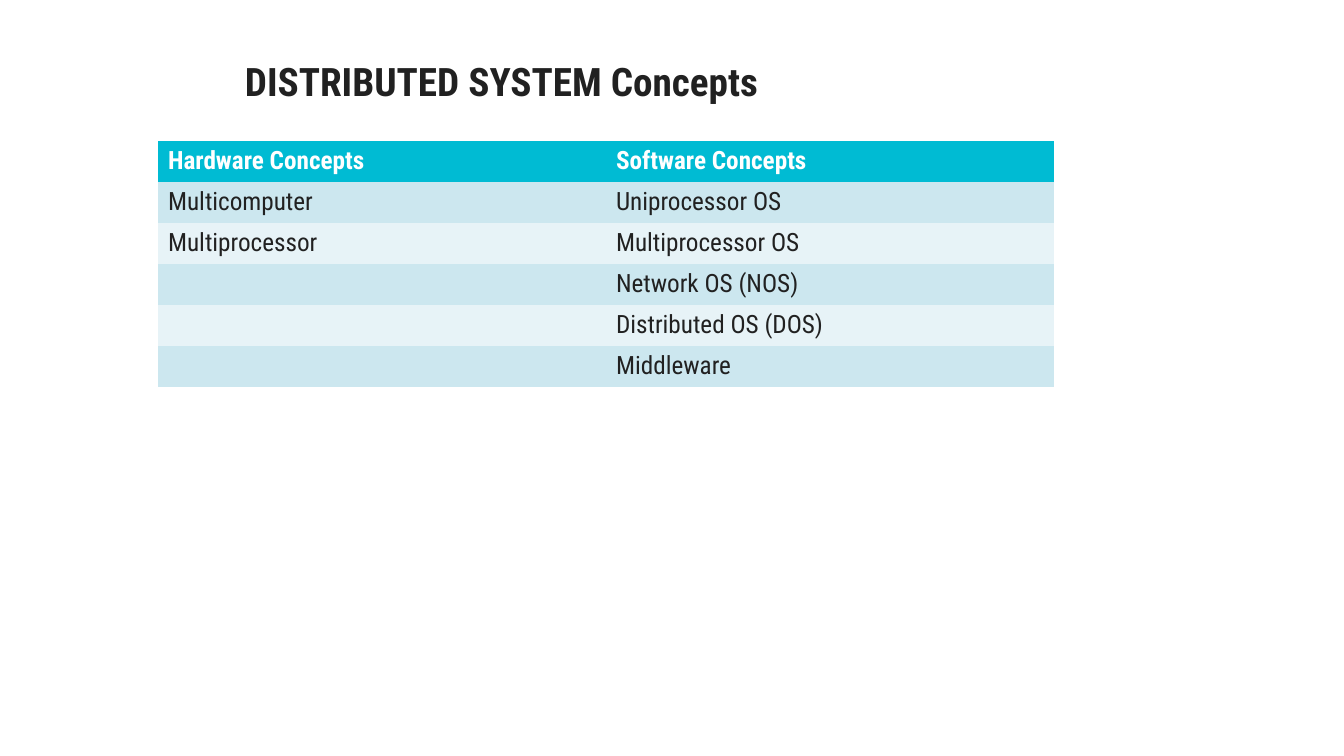
import pptx
import pptx.dml.color
import pptx.enum.text
import pptx.oxml.ns
import pptx.util

TITLE = "DISTRIBUTED SYSTEM Concepts"
CONCEPTS = [
    ("Hardware Concepts", "Software Concepts"),
    ("Multicomputer", "Uniprocessor OS"),
    ("Multiprocessor", "Multiprocessor OS"),
    ("", "Network OS (NOS)"),
    ("", "Distributed OS (DOS)"),
    ("", "Middleware"),
]

FONT = "Roboto Condensed"
INK = pptx.dml.color.RGBColor(0x21, 0x21, 0x21)
WHITE = pptx.dml.color.RGBColor(0xFF, 0xFF, 0xFF)
HEADER = pptx.dml.color.RGBColor(0x00, 0xBB, 0xD3)
BANDS = [
    pptx.dml.color.RGBColor(0xE7, 0xF3, 0xF7),
    pptx.dml.color.RGBColor(0xCC, 0xE7, 0xEF),
]
PLAIN_TABLE_STYLE = "{2D5ABB26-0587-4C30-8999-92F81FD0307C}"

SLIDE_SIZE = (1344, 756)
TITLE_BOX = (235, 55, 900, 57)
TABLE_LEFT, TABLE_TOP = 158, 141
COLUMN_WIDTH, ROW_HEIGHT = 448, 41


def px(length):
    return round(length * 914400 / 100.8)


def add_run(paragraph, text, size, color, bold):
    run = paragraph.add_run()
    run.text = text
    run.font.name = FONT
    run.font.size = pptx.util.Pt(size)
    run.font.bold = bold
    run.font.color.rgb = color


def add_title(slide):
    frame = slide.shapes.add_textbox(*map(px, TITLE_BOX)).text_frame
    frame.word_wrap = True
    frame.vertical_anchor = pptx.enum.text.MSO_ANCHOR.MIDDLE
    paragraph = frame.paragraphs[0]
    paragraph.line_spacing = 0.9
    add_run(paragraph, TITLE, 28, INK, True)


def add_concepts(slide):
    rows, columns = len(CONCEPTS), len(CONCEPTS[0])
    shape = slide.shapes.add_table(
        rows, columns, px(TABLE_LEFT), px(TABLE_TOP),
        px(columns * COLUMN_WIDTH), px(rows * ROW_HEIGHT))
    style = shape.element.find(".//" + pptx.oxml.ns.qn("a:tableStyleId"))
    style.text = PLAIN_TABLE_STYLE
    for row, texts in enumerate(CONCEPTS):
        is_header = row == 0
        for column, text in enumerate(texts):
            cell = shape.table.cell(row, column)
            cell.fill.solid()
            cell.fill.fore_color.rgb = HEADER if is_header else BANDS[row % 2]
            if text:
                add_run(cell.text_frame.paragraphs[0], text, 18,
                        WHITE if is_header else INK, is_header)


def main():
    presentation = pptx.Presentation()
    presentation.slide_width, presentation.slide_height = map(px, SLIDE_SIZE)
    slide = presentation.slides.add_slide(presentation.slide_layouts[6])
    add_title(slide)
    add_concepts(slide)
    presentation.save("out.pptx")


if __name__ == "__main__":
    main()
